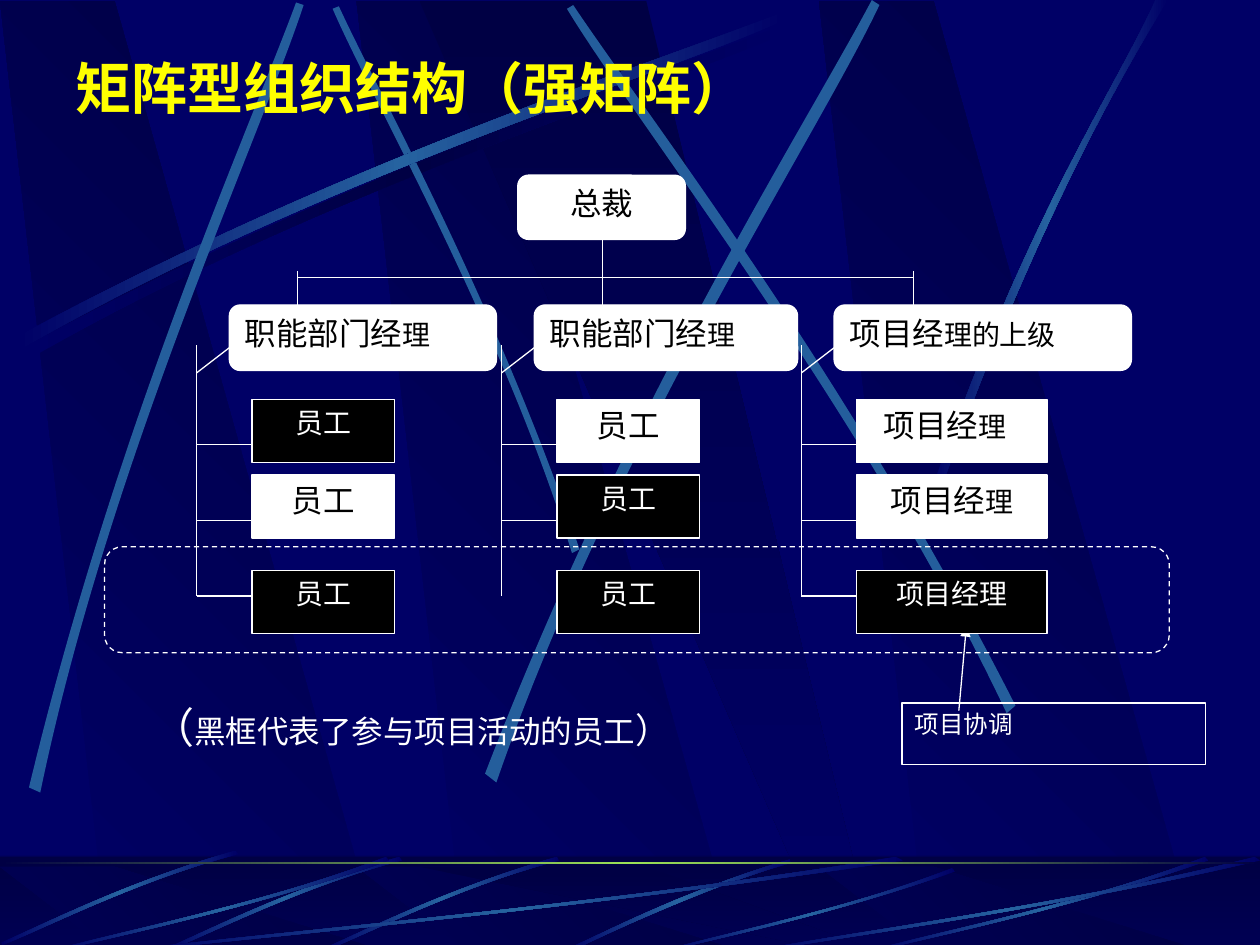
from pptx import Presentation
from pptx.dml.color import RGBColor
from pptx.enum.dml import MSO_LINE
from pptx.enum.shapes import MSO_CONNECTOR, MSO_SHAPE as Shape
from pptx.enum.text import MSO_ANCHOR as Anchor, PP_ALIGN as Align
from pptx.oxml import parse_xml
from pptx.oxml.ns import nsdecls, qn
from pptx.util import Cm, Pt

FONT = "Times New Roman"
NAVY, DARK, BLUE, STRAND = "000066", "000044", "2663A0", "245E9C"
WHITE, BLACK = "FFFFFF", "000000"
GLOW = (NAVY, BLUE, NAVY)
ROWS = (3.17, 3.77, 4.53)
PANELS = (2.83, 0, 6.5)


def grid(units):
    """Convert layout units of 2.54 cm to a length."""
    return Cm(2.54 * units)


def rgb(value):
    """Turn a hex string into a colour."""
    return RGBColor.from_string(value)


def paint(shape, colors, angle=0):
    """Fill a shape with evenly spaced clockwise gradient colours, or one plain colour."""
    shape.shadow.inherit = False
    if len(colors) == 1:
        shape.fill.solid()
        shape.fill.fore_color.rgb = rgb(colors[0])
        return
    shape.fill.gradient()
    shape.fill.gradient_angle = (360 - angle) % 360
    stops = shape._element.spPr.find(".//" + qn("a:gsLst"))
    for stop in list(stops):
        stops.remove(stop)
    for index, color in enumerate(colors):
        place = 100000 * index // (len(colors) - 1)
        stops.append(parse_xml(f'<a:gs {nsdecls("a")} pos="{place}"><a:srgbClr val="{color}"/></a:gs>'))


def add_outline(slide, points, colors, angle=0):
    """Add a closed, borderless outline."""
    corners = [(grid(x), grid(y)) for x, y in points]
    builder = slide.shapes.build_freeform(*corners[0])
    builder.add_line_segments(corners[1:], close=True)
    outline = builder.convert_to_shape()
    paint(outline, colors, angle)
    outline.line.fill.background()
    return outline


def add_strand(slide, edges, colors=GLOW, shift=(0, 0)):
    """Add a tapering strand between two cubic edges of four points each."""
    points = [(x + shift[0], y + shift[1]) for x, y in zip(edges[::2], edges[1::2])]
    outline = add_outline(slide, points, colors)
    segments = outline._element.spPr.findall(".//" + qn("a:lnTo"))
    for first in (0, 4):
        bend = parse_xml(f'<a:cubicBezTo {nsdecls("a")}/>')
        segments[first].addprevious(bend)
        for segment in segments[first:first + 3]:
            bend.append(segment[0])
            segment.getparent().remove(segment)


def add_block(slide, area, colors, angle=0, alpha=None):
    """Add a borderless rectangle."""
    block = slide.shapes.add_shape(Shape.RECTANGLE, *map(grid, area))
    paint(block, colors, angle)
    block.line.fill.background()
    if alpha:
        color = block._element.spPr.find(".//" + qn("a:srgbClr"))
        color.append(parse_xml(f'<a:alpha {nsdecls("a")} val="{alpha * 1000}"/>'))


def add_panels(slide, top, bottom):
    """Add the slanted panels between two heights."""
    for left in PANELS:
        corners = [(left + 0.86, bottom), (left + 3.02, bottom), (left + 0.91, top), (left, top)]
        add_outline(slide, corners, (NAVY, DARK), 315)
    add_outline(slide, [(3.33, top), (6.58, bottom), (6.94, bottom), (5.13, top)], (DARK, NAVY), 90)


def add_backdrop(slide):
    """Draw the panels, light strands and footer band."""
    add_panels(slide, 0.01, 7.52)
    arc = (0.14, 2.67, 2.78, 1.25, 5.18, 0.51, 6.2, 0.1, 6.23, 0.16, 5.22, 0.61, 2.48, 1.43, 0.17, 2.77)
    add_strand(slide, arc, (NAVY, DARK, NAVY), (0.06, 0.08))
    add_strand(slide, (4.6, 4.36, 3.91, 2.34, 3.02, 0.77, 2.69, 0.05,
                       2.64, 0.07, 2.95, 0.79, 3.98, 2.58, 4.54, 4.39), (STRAND,))
    add_strand(slide, arc)
    for edges in (
        (0.23, 6.25, 0.93, 3.34, 1.97, 1.05, 2.35, 0.02, 2.41, 0.04, 2.07, 1.08, 0.86, 3.68, 0.32, 6.29),
        (3.85, 6.14, 4.98, 3.2, 6.38, 1.02, 6.92, 0, 6.98, 0.04, 6.49, 1.08, 4.86, 3.55, 3.94, 6.21),
        (8.06, 5.6, 6.7, 2.93, 5.16, 0.95, 4.55, 0.04, 4.5, 0.07, 5.07, 1.01, 6.85, 3.25, 7.99, 5.66),
    ):
        add_strand(slide, edges, (STRAND,))
    add_strand(slide, (7.38, 3.93, 8.14, 1.73, 8.88, 0.66, 9.17, 0, 9.27, 0, 8.36, 1.45, 7.69, 3.22, 7.44, 3.97))
    add_block(slide, (0, 6.8, 10, 0.75), (DARK, NAVY), 90)
    add_panels(slide, 6.88, 7.54)
    add_block(slide, (0, 6.79, 10, 0.75), (DARK,), alpha=50)
    add_strand(slide, (6.27, 6.82, 5.37, 7.09, 4.77, 7.42, 4.48, 7.54, 4.53, 7.55, 4.9, 7.37, 5.71, 7, 6.28, 6.85))
    for shift in ((0, 0), (-1.25, 0), (-2.55, -0.05)):
        add_strand(slide, (4.42, 6.8, 3.55, 7.05, 2.87, 7.4, 2.56, 7.53,
                           2.57, 7.55, 2.88, 7.43, 3.65, 7.03, 4.44, 6.83), shift=shift)
    sweep = (1, 0.04, 0.57, 0.57, 0.17, 0.85, 0.01, 1, 0, 0.99, 0.17, 0.81, 0.62, 0.51, 0.99, 0)
    for left, top, width in ((1, 6.8, 6.17), (0.42, 6.8, 2.67), (5.27, 6.89, 2.31), (6.92, 6.8, 2.67), (6, 6.8, 4)):
        edges = [top + (7.55 - top) * part if index % 2 else left + width * part
                 for index, part in enumerate(sweep)]
        add_strand(slide, edges)
    add_block(slide, (0, 6.84, 10, 0.02), (DARK, "9CE157", DARK))


def write(frame, runs, color, align=Align.CENTER, anchor=Anchor.TOP):
    """Write one paragraph of (text, size) runs."""
    frame.word_wrap = True
    frame.vertical_anchor = anchor
    paragraph = frame.paragraphs[0]
    paragraph.alignment = align
    paragraph.font.name = FONT
    paragraph.font.color.rgb = rgb(color)
    paragraph.font.size = Pt(runs[0][1])
    for text, size in runs:
        run = paragraph.add_run()
        run.text = text
        if size != runs[0][1]:
            run.font.size = Pt(size)
    return paragraph


def add_box(slide, area, runs=(), fill=None, align=Align.CENTER, kind=Shape.RECTANGLE):
    """Add a white-edged box with an optional fill and label."""
    box = slide.shapes.add_shape(kind, *map(grid, area))
    box.shadow.inherit = False
    if fill:
        paint(box, (fill,))
    else:
        box.fill.background()
    box.line.color.rgb = rgb(WHITE)
    box.line.width = Pt(0.75)
    if runs:
        write(box.text_frame, runs, BLACK if fill == WHITE else WHITE, align)
    return box


def add_text(slide, area, runs, color, align=Align.CENTER, anchor=Anchor.TOP):
    """Add a plain text box and return its paragraph."""
    frame = slide.shapes.add_textbox(*map(grid, area)).text_frame
    return write(frame, runs, color, align, anchor)


def add_link(slide, *ends, arrow=False):
    """Add a thin white line, with an arrowhead if asked."""
    link = slide.shapes.add_connector(MSO_CONNECTOR.STRAIGHT, *map(grid, ends))
    link.line.color.rgb = rgb(WHITE)
    link.line.width = Pt(0.75)
    if arrow:
        link.line._get_or_add_ln().append(parse_xml(f'<a:tailEnd {nsdecls("a")} type="triangle"/>'))
    link._element.spPr.append(parse_xml(f'<a:effectLst {nsdecls("a")}/>'))


def add_department(slide, spine, width, manager, manager_width, align, members, linked=ROWS):
    """Add a manager, the joining lines and the members, and return the members."""
    add_box(slide, (spine + 0.26, 2.42, manager_width, 0.52), manager, WHITE, align,
            Shape.FLOWCHART_ALTERNATE_PROCESS)
    add_link(slide, spine, 2.74, spine, 4.73)
    add_link(slide, spine, 2.96, spine + 0.26, 2.76)
    for top in linked:
        joint = min(top + 0.36, 4.73)
        add_link(slide, spine, joint, spine + 0.44, joint)
    return [add_box(slide, (spine + 0.44, top, width, 0.5), runs, fill)
            for top, (runs, fill) in zip(ROWS, members)]


def main():
    """Build the strong matrix organisation slide."""
    deck = Presentation()
    deck.slide_width, deck.slide_height = grid(10), grid(7.5)
    slide = deck.slides.add_slide(deck.slide_layouts[6])
    slide.background.fill.solid()
    slide.background.fill.fore_color.rgb = rgb(NAVY)
    add_backdrop(slide)
    title = add_text(slide, (0.42, 0.35, 5.69, 0.66), [("矩阵型组织结构（强矩阵）", 32)], "FFFF00",
                     anchor=Anchor.MIDDLE)
    title.font.bold = True
    title.line_spacing = 1.04
    title.space_before = Pt(20)

    add_link(slide, 7.61, 5.64, 7.67, 4.97, arrow=True)
    add_box(slide, (4.11, 1.39, 1.33, 0.51), [("总裁", 18)], WHITE, kind=Shape.FLOWCHART_ALTERNATE_PROCESS)
    add_link(slide, 2.36, 2.2, 7.25, 2.2)
    add_link(slide, 4.78, 1.82, 4.78, 2.49)
    for branch in (2.36, 7.25):
        add_link(slide, branch, 2.15, branch, 2.49)

    idle, active = ([("员工", 18)], WHITE), ([("员工", 16)], BLACK)
    leader, chosen = ([("项目经", 18), ("理", 16)], WHITE), ([("项目经理", 16)], BLACK)
    head = [("职能部门经", 18), ("理", 16)]
    superior = [("项目经", 18), ("理的上级", 16)]
    add_department(slide, 1.56, 1.13, head, 2.12, Align.JUSTIFY, (active, idle, active))
    add_department(slide, 3.98, 1.13, head, 2.09, Align.LEFT, (idle, active, active), ROWS[:2])
    leaders = add_department(slide, 6.36, 1.51, superior, 2.36, Align.LEFT, (leader, leader, chosen))
    leaders[0].text_frame.margin_right = grid(0.21)

    add_box(slide, (7.16, 5.58, 2.41, 0.49), [("项目协调", 14)], align=Align.LEFT)
    add_text(slide, (1.11, 5.52, 5.38, 0.98), [("（", 24), ("黑框代表了参与项目活动的员工", 18), ("）", 20)],
             WHITE, Align.JUSTIFY)
    team = add_box(slide, (0.83, 4.34, 8.45, 0.84), kind=Shape.ROUNDED_RECTANGLE)
    team.line.dash_style = MSO_LINE.DASH
    deck.save("out.pptx")


if __name__ == "__main__":
    main()
